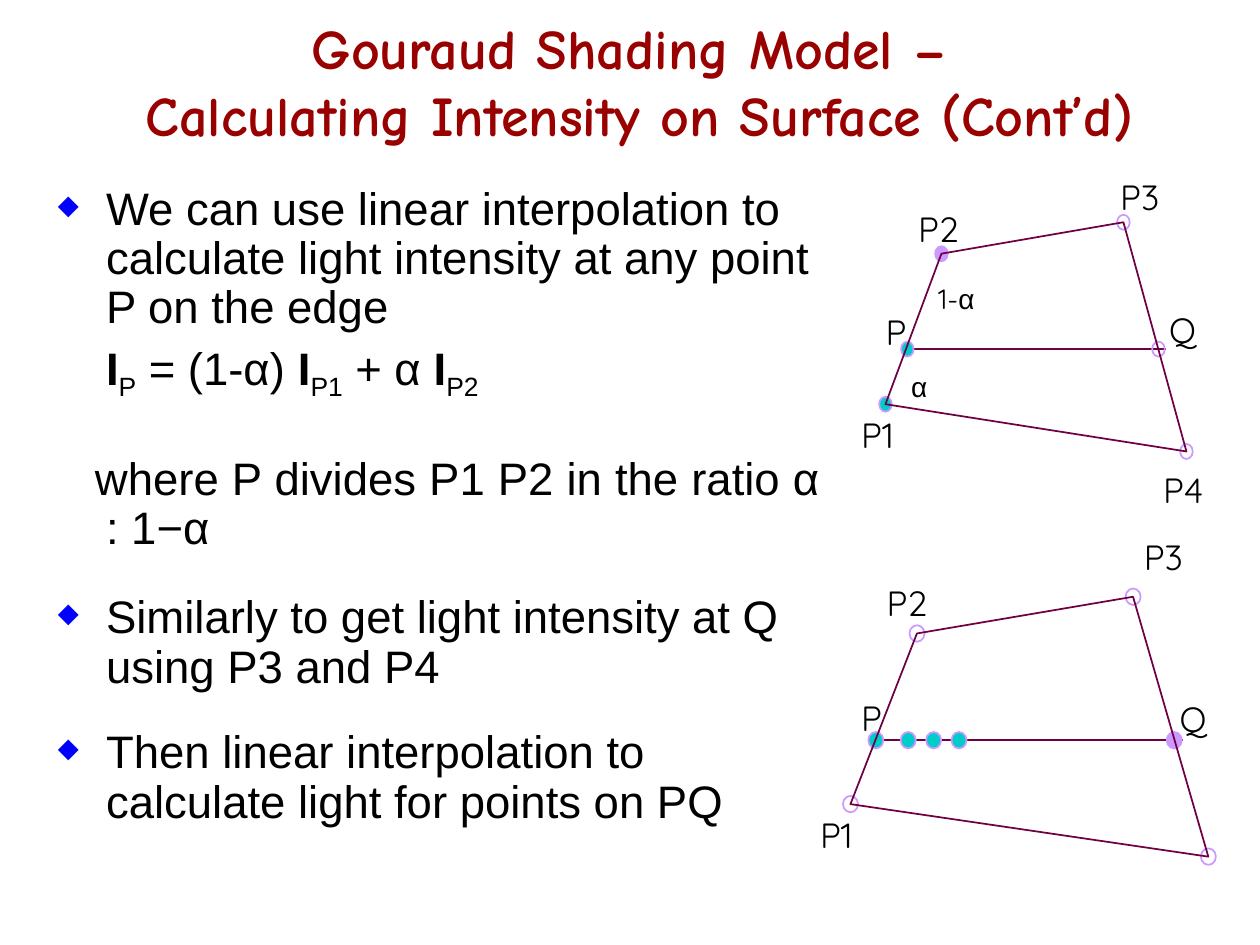
"""Build a slide on Gouraud shading with two interpolation diagrams."""
from lxml import etree
from pptx import Presentation
from pptx.dml.color import RGBColor
from pptx.enum.shapes import MSO_CONNECTOR, MSO_SHAPE
from pptx.enum.text import MSO_ANCHOR, PP_ALIGN
from pptx.oxml.ns import qn
from pptx.util import Pt

OVAL, LINE = MSO_SHAPE.OVAL, MSO_CONNECTOR.STRAIGHT
LEFT, MID, JUST = PP_ALIGN.LEFT, PP_ALIGN.CENTER, PP_ALIGN.JUSTIFY
BOTTOM = MSO_ANCHOR.BOTTOM
RED = RGBColor(0x99, 0x00, 0x00)
BLACK = RGBColor(0x00, 0x00, 0x00)
PLUM = RGBColor(0x6E, 0x00, 0x43)
LILAC = RGBColor(0xCC, 0x99, 0xFF)
TEAL = RGBColor(0x00, 0xCC, 0xCC)
BLUE = "0000FF"
SANS, ROUND, COMIC = "Arial", "Quicksand", "Comic Neue"
HANG = 27.5

TITLE = "Gouraud Shading Model –\v Calculating Intensity on Surface (Cont’d)"
BODY = [
    dict(text="We can use linear interpolation to calculate light intensity "
              "at any point P on the edge", gap=4, dot=True),
    dict(text=[("I", "bold"), ("P", "sub"), (" = (1-α) ", ""), ("I", "bold"),
               ("P1", "sub"), (" + α ", ""), ("I", "bold"), ("P2", "sub")],
         gap=4),
    dict(text="where P divides P1 P2 in the ratio α : 1−α",
         gap=34, indent=-6.3, align=JUST),
    dict(text="Similarly to get light intensity at Q using P3 and P4",
         gap=23, dot=True),
    dict(text="Then linear interpolation to calculate light for points on PQ",
         gap=21, dot=True),
]
DIAGRAMS = [
    dict(size=(7.2, 8.6), edge=[(506, 231), (538, 145), (642, 127), (678, 258)],
         span=(515, 666, 199.5),
         dots=[(506, 231, TEAL), (538, 145, LILAC), (642, 127, None),
               (678, 258, None), (518.5, 199.5, TEAL), (662, 199.5, None)],
         tags=[("P1", 485, 232.5), ("P2", 517.5, 115), ("P3", 633, 96.5),
               ("P4", 657.5, 264), ("P", 499, 174), ("Q", 661, 173)],
         ratios=[([("α", SANS)], 513.5, 207.5),
                 ([("1-", ROUND), ("α", SANS)], 529, 157.5)]),
    dict(size=(8.6, 9.4), edge=[(486, 459.5), (524, 362), (647.5, 341), (690.5, 489.5)],
         span=(496, 676, 423),
         dots=[(486, 459.5, None), (524, 362, None), (647.5, 341, None),
               (690.5, 489.5, None), (500.5, 423, TEAL), (671, 423, LILAC),
               (519, 423, TEAL), (533.5, 423, TEAL), (548, 423, TEAL)],
         tags=[("P1", 461.5, 461.5), ("P2", 499.5, 328.5), ("P3", 646.5, 302.5),
               ("P", 485, 394.5), ("Q", 667, 395)],
         ratios=[]),
]


def style(font, face, size, color=BLACK):
    font.name, font.size, font.color.rgb = face, Pt(size), color


def ink(line, color):
    line.color.rgb = color
    line.width = Pt(1)


def bullet(par, on):
    props = par._p.get_or_add_pPr()
    if on:
        color = etree.SubElement(props, qn("a:buClr"))
        etree.SubElement(color, qn("a:srgbClr"), val=BLUE)
        etree.SubElement(props, qn("a:buSzPct"), val="60000")
        etree.SubElement(props, qn("a:buChar"), char="◆")
    else:
        etree.SubElement(props, qn("a:buNone"))


def write(par, item):
    runs = item["text"]
    for text, kind in [(runs, "")] if isinstance(runs, str) else runs:
        run = par.add_run()
        run.text = text
        if kind == "bold":
            run.font.bold = True
        elif kind == "sub":
            run.font._element.set("baseline", "-25000")
    par.alignment = item.get("align", LEFT)
    par.line_spacing = 0.9
    par.space_before = Pt(item["gap"])
    dot = item.get("dot", False)
    props = par._p.get_or_add_pPr()
    props.set("marL", str(Pt(HANG)))
    props.set("indent", str(Pt(-HANG if dot else item.get("indent", 0))))
    bullet(par, dot)
    style(par.font, SANS, 26)


def label(shapes, runs, left, top, size):
    box = shapes.add_textbox(Pt(left), Pt(top), Pt(54), Pt(30))
    box.text_frame.word_wrap = True
    par = box.text_frame.paragraphs[0]
    for text, face in runs:
        run = par.add_run()
        run.text = text
        style(run.font, face, size)


def draw(shapes, plan):
    start, end, level = plan["span"]
    line = shapes.add_connector(LINE, Pt(start), Pt(level), Pt(end), Pt(level))
    ink(line.line, PLUM)
    etree.SubElement(line._element.spPr, qn("a:effectLst"))
    wide, high = plan["size"]
    for x, y, color in plan["dots"]:
        dot = shapes.add_shape(OVAL, Pt(x - wide / 2), Pt(y - high / 2),
                               Pt(wide), Pt(high))
        dot.shadow.inherit = False
        ink(dot.line, LILAC)
        if color is None:
            dot.fill.background()
        else:
            dot.fill.solid()
            dot.fill.fore_color.rgb = color
    first, *rest = [(Pt(x), Pt(y)) for x, y in plan["edge"]]
    pen = shapes.build_freeform(*first)
    pen.add_line_segments(rest, close=True)
    quad = pen.convert_to_shape()
    quad.shadow.inherit = False
    quad.fill.background()
    ink(quad.line, PLUM)
    for text, left, top in plan["tags"]:
        label(shapes, [(text, ROUND)], left, top, 20)
    for runs, left, top in plan["ratios"]:
        label(shapes, runs, left, top, 16)


def main():
    deck = Presentation()
    deck.slide_width, deck.slide_height = Pt(720), Pt(540)
    slide = deck.slides.add_slide(deck.slide_layouts[5])
    title = slide.shapes.title
    title.left, title.top, title.width, title.height = Pt(28), Pt(23), Pt(664), Pt(65)
    frame = title.text_frame
    frame.text = TITLE
    frame.vertical_anchor = BOTTOM
    par = frame.paragraphs[0]
    par.alignment = MID
    par.font.bold = True
    style(par.font, COMIC, 32, RED)

    body = slide.shapes.add_textbox(Pt(26), Pt(103), Pt(450), Pt(372)).text_frame
    body.word_wrap = True
    for i, item in enumerate(BODY):
        write(body.add_paragraph() if i else body.paragraphs[0], item)
    for plan in DIAGRAMS:
        draw(slide.shapes, plan)
    deck.save("out.pptx")


if __name__ == "__main__":
    main()
